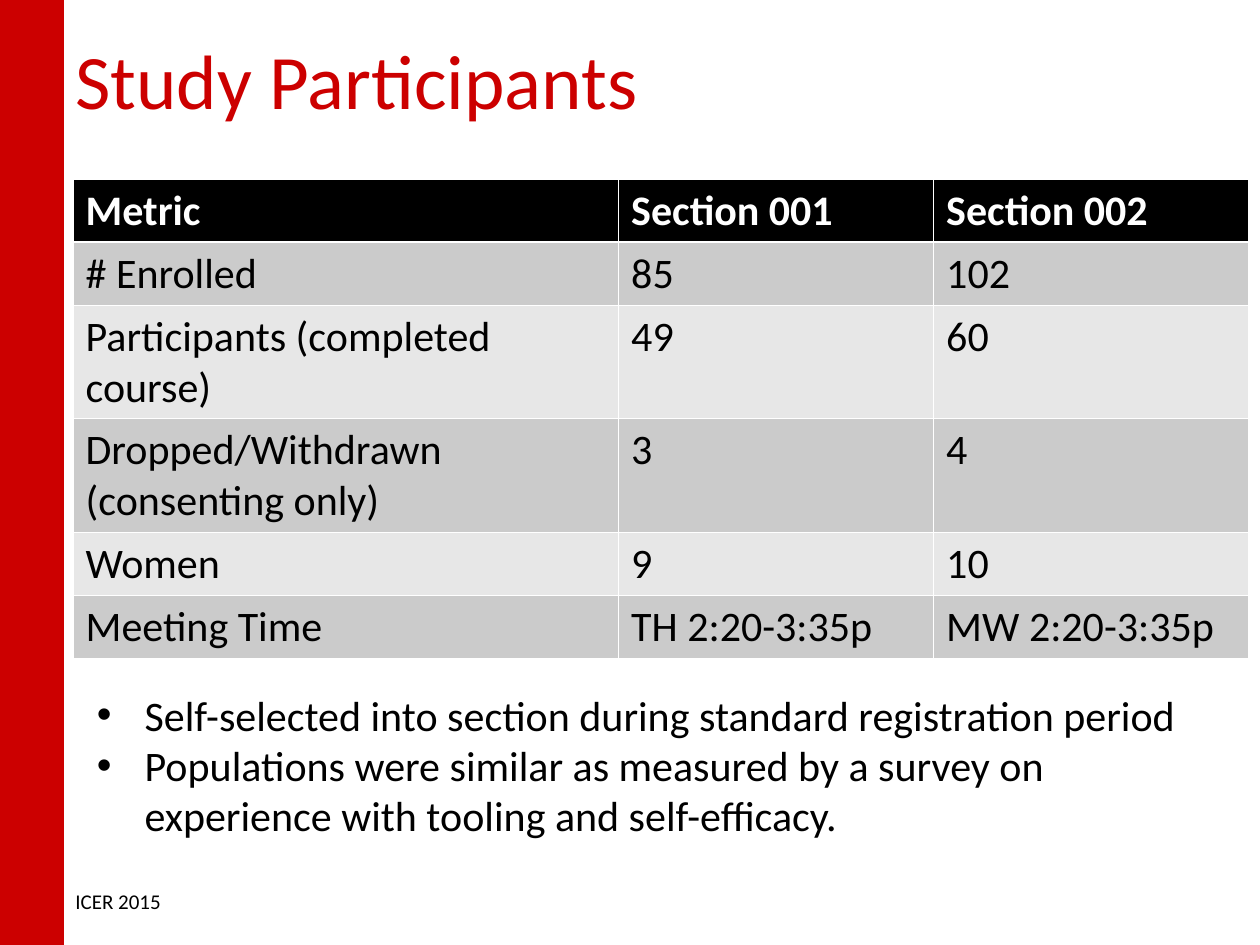
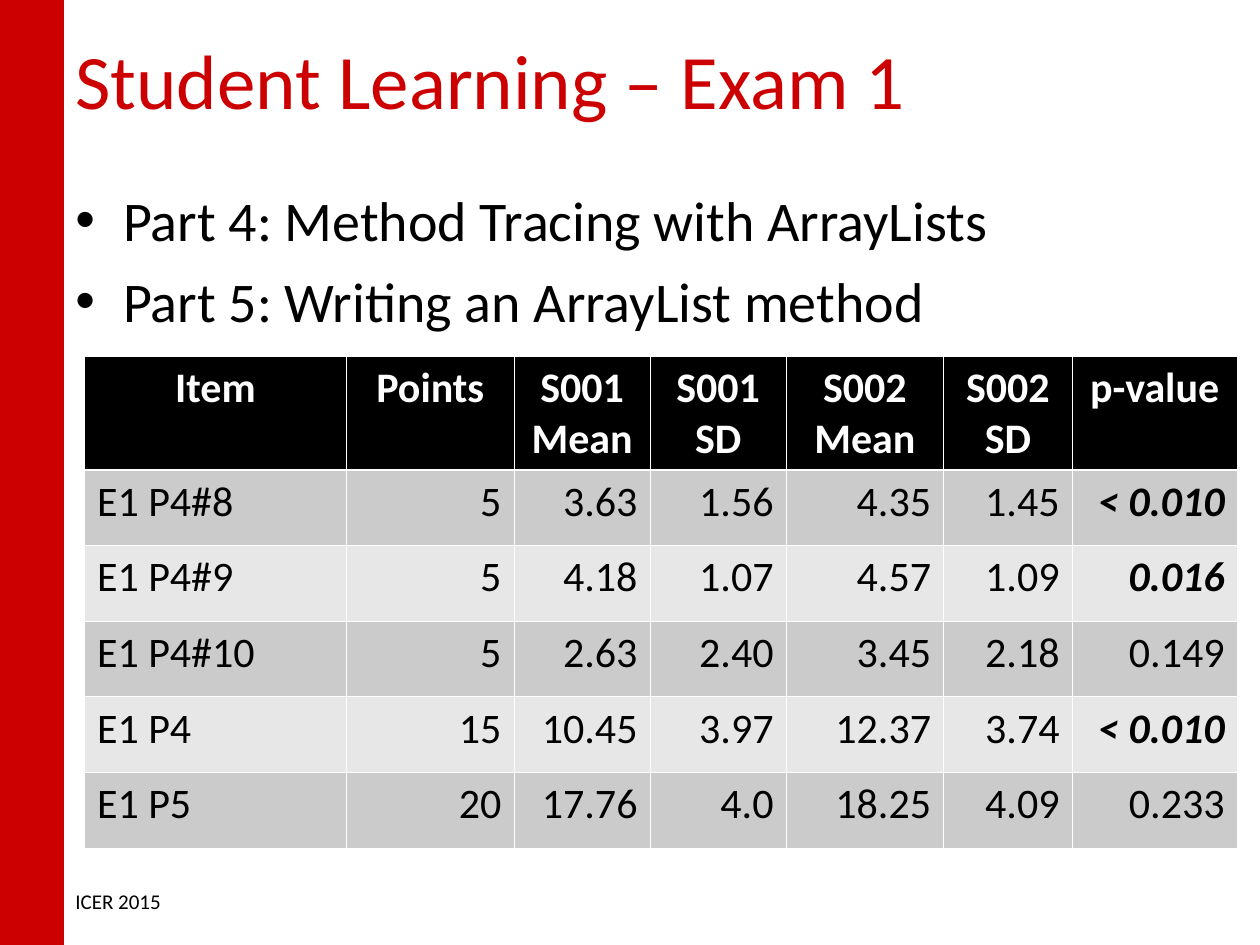
from lxml import etree
from pptx import Presentation
from pptx.dml.color import RGBColor
from pptx.enum.shapes import MSO_SHAPE
from pptx.enum.text import MSO_ANCHOR, PP_ALIGN
from pptx.oxml.ns import qn
from pptx.util import Pt

PX = 9144  # 100 px to the inch
RECT = MSO_SHAPE.RECTANGLE
TOP, MIDDLE = MSO_ANCHOR.TOP, MSO_ANCHOR.MIDDLE
LEFT, CENTER, RIGHT = PP_ALIGN.LEFT, PP_ALIGN.CENTER, PP_ALIGN.RIGHT

RED = RGBColor(0xCC, 0x00, 0x00)
BLACK = RGBColor(0x00, 0x00, 0x00)
WHITE = RGBColor(0xFF, 0xFF, 0xFF)
DARK_ROW = RGBColor(0xCB, 0xCB, 0xCB)
LIGHT_ROW = RGBColor(0xE7, 0xE7, 0xE7)
FONT = "Calibri"


def write(tf, *lines, size=24, color=BLACK, bold=False, italic=False,
          align=LEFT, anchor=TOP, bullet=False, before=0):
    """Fill a text frame with one paragraph per line."""
    tf.word_wrap = True
    tf.vertical_anchor = anchor
    for i, line in enumerate(lines):
        p = tf.add_paragraph() if i else tf.paragraphs[0]
        p.alignment = align
        p.space_before = Pt(before)
        if bullet:
            pPr = p._p.get_or_add_pPr()
            pPr.set("marL", str(38 * PX))
            pPr.set("indent", str(-38 * PX))
            clr = etree.SubElement(pPr, qn("a:buClr"))
            etree.SubElement(clr, qn("a:srgbClr"), val=str(color))
            etree.SubElement(pPr, qn("a:buFont"), typeface="Arial")
            etree.SubElement(pPr, qn("a:buChar"), char="•")
        r = p.add_run()
        r.text = line
        r.font.name, r.font.size, r.font.color.rgb = FONT, Pt(size), color
        r.font.bold, r.font.italic = bold, italic


def add_banded_table(s, x, y, widths, heights, rows, head_align, value_align,
                     emphasized=()):
    """Draw a black header over grey bands; emphasized holds (row, column) pairs."""
    table = s.shapes.add_table(len(rows), len(widths), x * PX, y * PX,
                               sum(widths) * PX, sum(heights) * PX).table
    for column, width in zip(table.columns, widths):
        column.width = width * PX
    for i, (row, height) in enumerate(zip(rows, heights)):
        table.rows[i].height = height * PX
        for j, text in enumerate(row):
            cell = table.cell(i, j)
            tcPr = cell._tc.get_or_add_tcPr()
            for side in "LRTB":
                under_header = (i, side) in ((0, "B"), (1, "T"))
                ln = etree.SubElement(tcPr, qn(f"a:ln{side}"),
                                      w=str(Pt(1.47 if under_header else 0.45)))
                fill = etree.SubElement(ln, qn("a:solidFill"))
                etree.SubElement(fill, qn("a:srgbClr"), val=str(WHITE))
            cell.fill.solid()
            if i == 0:
                cell.fill.fore_color.rgb = BLACK
                write(cell.text_frame, text, color=WHITE, bold=True, align=head_align)
            else:
                cell.fill.fore_color.rgb = DARK_ROW if i % 2 else LIGHT_ROW
                strong = (i, j) in emphasized
                write(cell.text_frame, text, bold=strong, italic=strong,
                      align=value_align if j else LEFT)


prs = Presentation()
prs.slide_width, prs.slide_height = 1000 * PX, 750 * PX

# Band, title and footer
slides = []
for title in ("Study Participants", "Student Learning – Exam 1"):
    s = prs.slides.add_slide(prs.slide_layouts[6])
    band = s.shapes.add_shape(RECT, 0, 0, 50 * PX, 750 * PX)
    band.shadow.inherit = False
    band.fill.solid()
    band.fill.fore_color.rgb = band.line.color.rgb = RED
    band.line.width = Pt(0.75)
    heading = s.shapes.add_textbox(50 * PX, 0, 950 * PX, 125 * PX)
    write(heading.text_frame, title, size=44, color=RED, anchor=MIDDLE)
    footer = s.shapes.add_textbox(50 * PX, 700 * PX, 725 * PX, 50 * PX)
    write(footer.text_frame, "ICER 2015", size=12)
    slides.append(s)
participants, exam = slides

# Study participants
add_banded_table(
    participants, 58, 142, [433, 250, 250], [50, 50, 90, 90, 50, 50],
    [("Metric", "Section 001", "Section 002"),
     ("# Enrolled", "85", "102"),
     ("Participants (completed course)", "49", "60"),
     ("Dropped/Withdrawn (consenting only)", "3", "4"),
     ("Women", "9", "10"),
     ("Meeting Time", "TH 2:20-3:35p", "MW 2:20-3:35p")],
    head_align=LEFT, value_align=LEFT)
remarks = participants.shapes.add_textbox(67 * PX, 542 * PX, 917 * PX, 130 * PX)
write(remarks.text_frame,
      "Self-selected into section during standard registration period",
      "Populations were similar as measured by a survey on experience "
      "with tooling and self-efficacy.",
      bullet=True)

# Exam 1 results
parts = exam.shapes.add_textbox(50 * PX, 142 * PX, 950 * PX, 508 * PX)
write(parts.text_frame,
      "Part 4: Method Tracing with ArrayLists",
      "Part 5: Writing an ArrayList method",
      size=32, bullet=True, before=8)
add_banded_table(
    exam, 67, 283, [208, 133, 108, 108, 125, 102, 131], [90] + [60] * 5,
    [("Item", "Points", "S001 Mean", "S001 SD", "S002 Mean", "S002 SD", "p-value"),
     ("E1 P4#8", "5", "3.63", "1.56", "4.35", "1.45", "< 0.010"),
     ("E1 P4#9", "5", "4.18", "1.07", "4.57", "1.09", "0.016"),
     ("E1 P4#10", "5", "2.63", "2.40", "3.45", "2.18", "0.149"),
     ("E1 P4", "15", "10.45", "3.97", "12.37", "3.74", "< 0.010"),
     ("E1 P5", "20", "17.76", "4.0", "18.25", "4.09", "0.233")],
    head_align=CENTER, value_align=RIGHT, emphasized=[(1, 6), (2, 6), (4, 6)])

prs.save("out.pptx")
